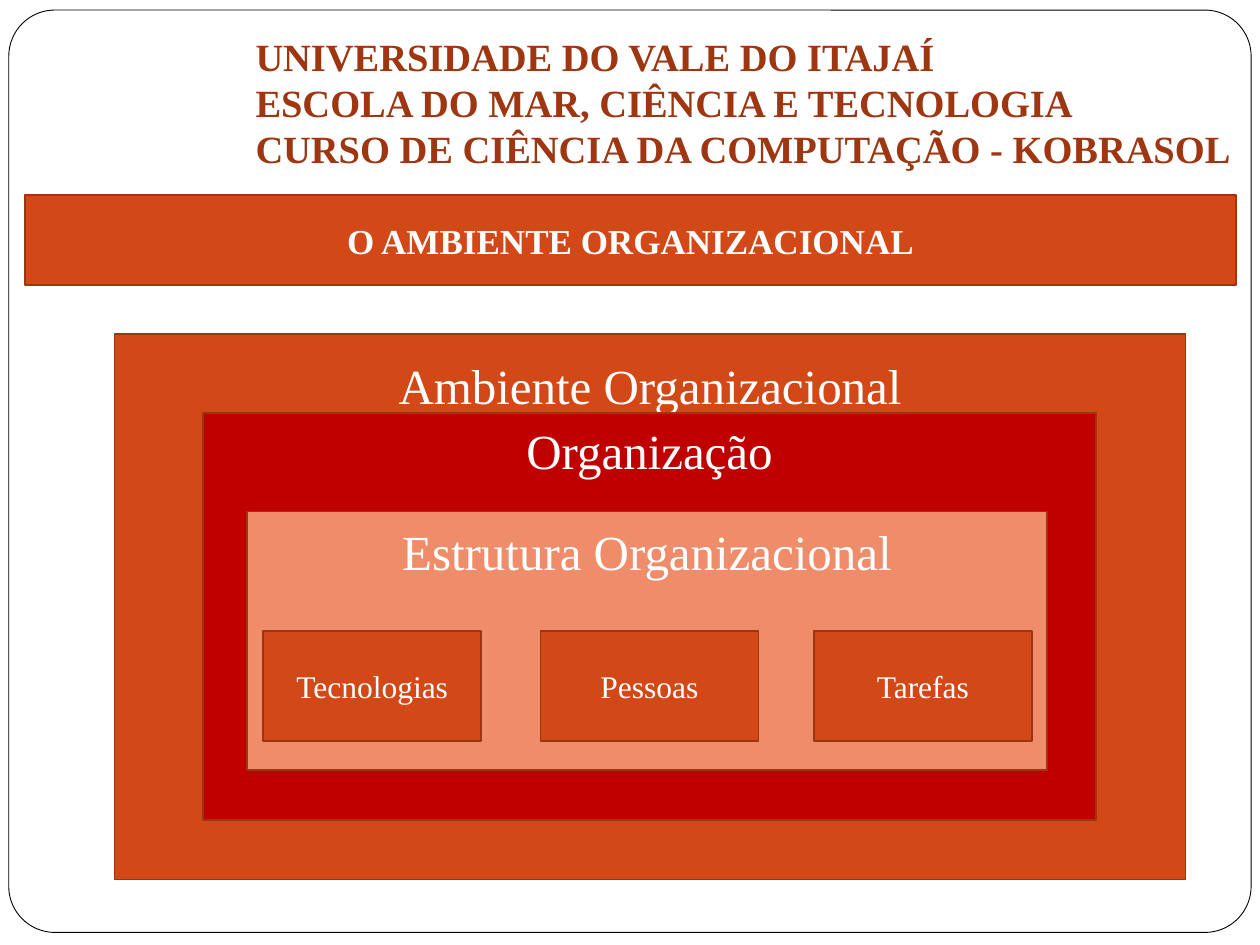
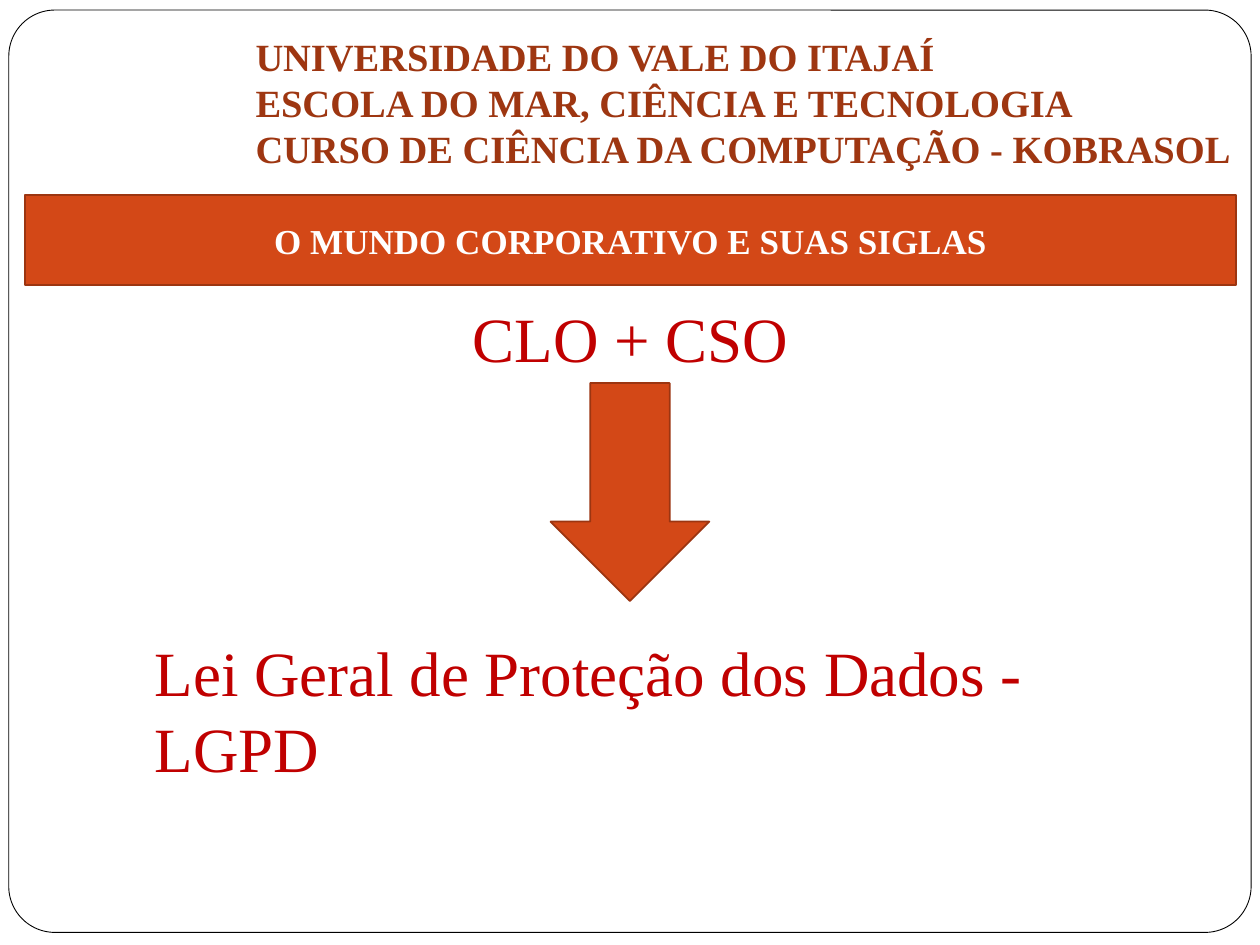
from pptx import Presentation
from pptx.dml.color import RGBColor
from pptx.enum.shapes import MSO_SHAPE as Shape
from pptx.enum.text import MSO_ANCHOR as Anchor, PP_ALIGN as Align
from pptx.util import Inches, Pt

FONT = "Times New Roman"
WHITE = RGBColor(0xFF, 0xFF, 0xFF)
BLACK = RGBColor(0x00, 0x00, 0x00)
ORANGE = RGBColor(0xD3, 0x48, 0x17)
BROWN = RGBColor(0x9C, 0x35, 0x11)
HEADER_BROWN = RGBColor(0x9E, 0x36, 0x11)
RED = RGBColor(0xC0, 0x00, 0x00)
SALMON = RGBColor(0xEF, 0x8C, 0x6A)

HEADER = (
    "UNIVERSIDADE DO VALE DO ITAJAÍ",
    "ESCOLA DO MAR, CIÊNCIA E TECNOLOGIA",
    "CURSO DE CIÊNCIA DA COMPUTAÇÃO - KOBRASOL",
)
LAYERS = (
    ("Ambiente Organizacional", (0.91, 2.65, 8.5, 4.33), ORANGE, 0.17),
    ("Organização", (1.61, 3.28, 7.09, 3.23), RED, 0.06),
    ("Estrutura Organizacional", (1.96, 4.06, 6.35, 2.05), SALMON, 0.08),
)
COMPONENTS = (("Tecnologias", 2.09), ("Pessoas", 4.29), ("Tarefas", 6.46))


def write(frame, lines, size, color, bold=False, align=Align.LEFT):
    """Fill a text frame with one paragraph per line."""
    frame.word_wrap = True
    for index, line in enumerate(lines):
        paragraph = frame.add_paragraph() if index else frame.paragraphs[0]
        paragraph.text = line
        paragraph.alignment = align
        font = paragraph.font
        font.name, font.size, font.bold = FONT, Pt(size), bold
        font.color.rgb = color


def add_text(slide, area, lines, size, color, **style):
    """Add a wrapping text box."""
    box = slide.shapes.add_textbox(*map(Inches, area))
    write(box.text_frame, lines, size, color, **style)


def add_figure(slide, kind, area, fill=ORANGE, line=BROWN, weight=1):
    """Add a flat filled and outlined preset shape."""
    figure = slide.shapes.add_shape(kind, *map(Inches, area))
    figure.shadow.inherit = False
    figure.fill.solid()
    figure.fill.fore_color.rgb = fill
    figure.line.color.rgb = line
    figure.line.width = Pt(weight)
    return figure


def add_block(slide, area, label, size, fill=ORANGE, bold=False, top_inset=None):
    """Add a labelled rectangle, centred or with its label at the top."""
    block = add_figure(slide, Shape.RECTANGLE, area, fill)
    frame = block.text_frame
    frame.vertical_anchor = Anchor.MIDDLE
    if top_inset is not None:
        frame.vertical_anchor = Anchor.TOP
        frame.margin_top = Inches(top_inset)
    write(frame, [label], size, WHITE, bold, Align.CENTER)


def add_course_slide(deck, title):
    """Add a slide with the shared frame, course header and title band."""
    slide = deck.slides.add_slide(deck.slide_layouts[6])
    border = add_figure(slide, Shape.ROUNDED_RECTANGLE, (0.07, 0.08, 9.86, 7.32),
                        WHITE, BLACK, 0.5)
    border.adjustments[0] = 0.05
    add_text(slide, (1.93, 0.21, 8.07, 1.21), HEADER, 22, HEADER_BROWN, bold=True)
    add_block(slide, (0.2, 1.55, 9.61, 0.71), title, 20, bold=True)
    return slide


def add_environment_slide(deck):
    """Show the nested layers of the organizational environment."""
    slide = add_course_slide(deck, "O AMBIENTE ORGANIZACIONAL")
    for label, area, fill, inset in LAYERS:
        add_block(slide, area, label, 28, fill, top_inset=inset)
    for label, left in COMPONENTS:
        add_block(slide, (left, 5.01, 1.73, 0.87), label, 18)


def add_acronyms_slide(deck):
    """Show the executive roles leading to the data protection law."""
    slide = add_course_slide(deck, "O MUNDO CORPORATIVO E SUAS SIGLAS")
    add_text(slide, (0.2, 2.33, 9.61, 0.71), ["CLO + CSO"], 36, RED, align=Align.CENTER)
    add_figure(slide, Shape.DOWN_ARROW, (4.37, 3.04, 1.26, 1.73))
    add_text(slide, (1.13, 4.98, 7.73, 1.3),
             ["Lei Geral de Proteção dos Dados - LGPD"], 36, RED)


def main():
    """Build and save the presentation."""
    deck = Presentation()
    deck.slide_width, deck.slide_height = Inches(10), Inches(7.5)
    add_environment_slide(deck)
    add_acronyms_slide(deck)
    deck.save("out.pptx")


if __name__ == "__main__":
    main()
